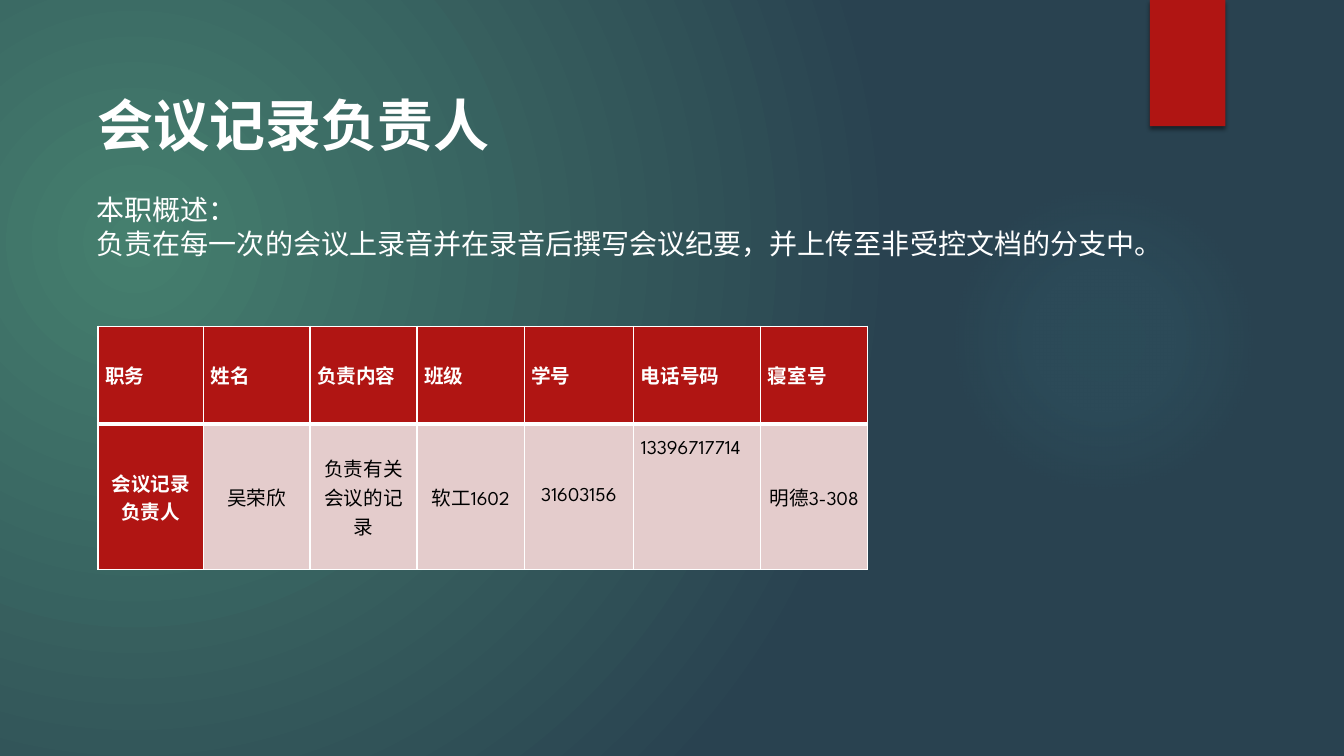
from lxml.etree import SubElement
from pptx import Presentation
from pptx.dml.color import RGBColor
from pptx.enum.shapes import MSO_SHAPE
from pptx.enum.text import MSO_ANCHOR, MSO_AUTO_SIZE, PP_ALIGN
from pptx.oxml.ns import qn
from pptx.util import Cm, Pt

RED, PINK, WHITE, BLACK = "B01513", "E4CCCC", "FFFFFF", "000000"
color = RGBColor.from_string


def add_xml(parent, tag, **attributes):
    return SubElement(parent, qn(tag), {k: str(v) for k, v in attributes.items()})


def make_radial(properties, stops, center):
    """Turn a solid fill into a circular gradient; stops are (percent, hex, opacity)."""
    solid = properties.find(qn("a:solidFill"))
    gradient = add_xml(properties, "a:gradFill", rotWithShape=1)
    properties.replace(solid, gradient)
    stop_list = add_xml(gradient, "a:gsLst")
    for percent, shade, opacity in stops:
        stop = add_xml(stop_list, "a:gs", pos=percent * 1000)
        rgb = add_xml(stop, "a:srgbClr", val=shade)
        add_xml(rgb, "a:alpha", val=opacity * 1000)
    circle = add_xml(gradient, "a:path", path="circle")
    add_xml(circle, "a:fillToRect", **{side: p * 1000 for side, p in zip("ltrb", center)})


presentation = Presentation()
presentation.slide_width, presentation.slide_height = Cm(33.87), Cm(19.05)
slide = presentation.slides.add_slide(presentation.slide_layouts[6])

# Background
slide.background.fill.solid()
make_radial(slide.background._cSld.bg.bgPr,
            [(0, "457F6E", 100), (100, "294250", 100)], (45, 65, 125, 100))

# Soft glow on the right
glow = slide.shapes.add_shape(MSO_SHAPE.OVAL, Cm(23.9), Cm(4.65), Cm(7.82), Cm(7.82))
glow.shadow.inherit = False
glow.line.fill.background()
glow.fill.solid()
make_radial(glow._element.spPr,
            [(0, "50B9C1", 7), (36, "50B9C1", 6), (69, "50B9C1", 0)], (50, 50, 50, 50))

# Red ribbon with its drop shadow
ribbon = slide.shapes.add_shape(MSO_SHAPE.RECTANGLE, Cm(28.98), 0, Cm(1.9), Cm(3.18))
ribbon.shadow.inherit = False
ribbon.line.fill.background()
ribbon.fill.solid()
ribbon.fill.fore_color.rgb = color(RED)
drop = add_xml(ribbon._element.spPr.find(qn("a:effectLst")), "a:outerShdw",
               blurRad=Pt(3), dist=Pt(2), dir=90 * 60000, rotWithShape=0)
add_xml(add_xml(drop, "a:srgbClr", val=BLACK), "a:alpha", val=45000)

# Duty table
headings = ["职务", "姓名", "负责内容", "班级", "学号", "电话号码", "寝室号"]
recorder = ["会议记录负责人", "吴荣欣", "负责有关会议的记录", "软工1602",
            "31603156", "13396717714", "明德3-308"]
PHONE = headings.index("电话号码")
widths = [2.66, 2.68, 2.7, 2.7, 2.76, 3.2, 2.7]
duties = slide.shapes.add_table(2, len(headings), Cm(2.47), Cm(8.22),
                                Cm(sum(widths)), Cm(6.14)).table
for column, width in zip(duties.columns, widths):
    column.width = Cm(width)
duties.rows[0].height, duties.rows[1].height = Cm(2.46), Cm(3.68)

for row, texts in enumerate([headings, recorder]):
    for col, text in enumerate(texts):
        cell = duties.cell(row, col)
        is_phone = row == 1 and col == PHONE
        is_label = row == 0 or col == 0
        cell.margin_left = cell.margin_right = Cm(0.18)
        cell.margin_top = Cm(0.42) if is_phone else 0
        cell.margin_bottom = 0
        cell.vertical_anchor = MSO_ANCHOR.TOP if is_phone else MSO_ANCHOR.MIDDLE

        # White grid, thicker between heading and body
        for side in "LRTB":
            thick = (row, side) in [(0, "B"), (1, "T")]
            border = add_xml(cell._tc.get_or_add_tcPr(), "a:ln" + side, w=Pt(3 if thick else 1))
            add_xml(add_xml(border, "a:solidFill"), "a:srgbClr", val=WHITE)
        cell.fill.solid()
        cell.fill.fore_color.rgb = color(RED if is_label else PINK)

        paragraph = cell.text_frame.paragraphs[0]
        paragraph.alignment = PP_ALIGN.JUSTIFY if row == 0 or is_phone else PP_ALIGN.CENTER
        run = paragraph.add_run()
        run.text = text
        run.font.name, run.font.size, run.font.bold = "League Spartan", Pt(14), is_label
        run.font.color.rgb = color(WHITE if is_label else BLACK)

# Summary and heading: place, lines, font, size, bold, first-line indent, anchor
overview = ["本职概述：", "负责在每一次的会议上录音并在录音后撰写会议纪要，并上传至非受控文档的分支中。"]
for place, lines, font, size, bold, indent, anchor in [
    ((1.35, 4.72, 28.45, 1.96), overview, "Calibri", 20, False, 0.84, MSO_ANCHOR.MIDDLE),
    ((2.21, 2.16, 10.52, 1.96), ["会议记录负责人"], "Arial", 40, True, 0, MSO_ANCHOR.TOP),
]:
    frame = slide.shapes.add_textbox(*map(Cm, place)).text_frame
    frame.word_wrap = False
    frame.auto_size = MSO_AUTO_SIZE.SHAPE_TO_FIT_TEXT
    frame.vertical_anchor = anchor
    for number, line in enumerate(lines):
        paragraph = frame.add_paragraph() if number else frame.paragraphs[0]
        paragraph._p.get_or_add_pPr().set("indent", str(Cm(indent)))
        run = paragraph.add_run()
        run.text = line
        run.font.name, run.font.size, run.font.bold = font, Pt(size), bold
        run.font.color.rgb = color(WHITE)

presentation.save("out.pptx")
